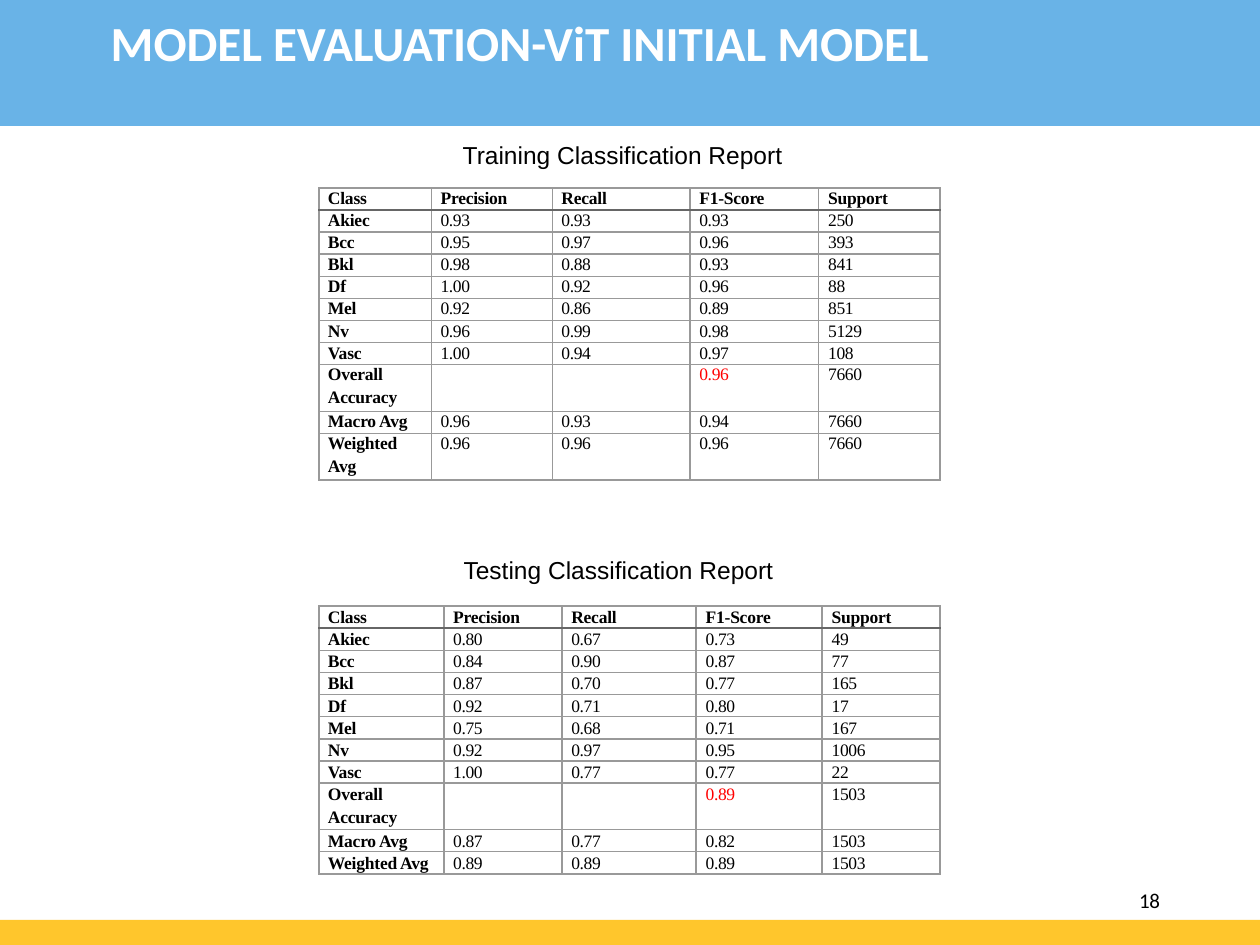
from dataclasses import dataclass

from lxml.etree import SubElement
from pptx import Presentation
from pptx.dml.color import RGBColor as Color
from pptx.enum.shapes import MSO_SHAPE as Shape
from pptx.oxml.ns import qn
from pptx.util import Pt


@dataclass(frozen=True)
class Theme:
    sky: str = "69B3E7"
    gold: str = "FFC62C"
    white: str = "FFFFFF"
    black: str = "000000"
    accent: str = "FF0000"
    grid: str = "999999"
    header_rule: str = "666666"
    title_font: str = "Calibri"
    caption_font: str = "Arial"
    table_font: str = "Times New Roman"
    title_size: float = 28
    caption_size: float = 14
    number_size: float = 12
    table_size: float = 10


class ReportSlide:
    """Draws styled elements on one slide, with all lengths in points."""

    def __init__(self, slide, theme):
        self.slide = slide
        self.theme = theme

    def format_runs(self, paragraph, font, size, color, bold=False, spacing=0):
        for run in paragraph.runs:
            run.font.name = font
            run.font.size = Pt(size)
            run.font.bold = bold
            run.font.color.rgb = Color.from_string(color)
            run.font._element.set("spc", str(round(spacing * 100)))

    def band(self, top, height, color):
        shape = self.slide.shapes.add_shape(Shape.RECTANGLE, 0, Pt(top), Pt(720), Pt(height))
        shape.shadow.inherit = False
        shape.fill.solid()
        shape.fill.fore_color.rgb = Color.from_string(color)
        shape.line.fill.background()

    def text(self, text, box, inset, font, size, color, bold=False, spacing=0, leading=None):
        shape = self.slide.shapes.add_textbox(*map(Pt, box))
        frame = shape.text_frame
        frame.word_wrap = True
        frame.margin_left, frame.margin_top = map(Pt, inset)
        frame.margin_right = frame.margin_bottom = 0
        frame.text = text
        paragraph = frame.paragraphs[0]
        if leading:
            paragraph.line_spacing = Pt(leading)
        self.format_runs(paragraph, font, size, color, bold, spacing)

    def caption(self, text, left, top, width):
        theme = self.theme
        self.text(text, (left, top, width, 18.7), (0.9, 2), theme.caption_font,
                  theme.caption_size, theme.black)

    def borders(self, cell, row):
        theme = self.theme
        rules = {"lnL": False, "lnR": False, "lnT": row == 1, "lnB": row == 0}
        properties = cell._tc.get_or_add_tcPr()
        for tag, heavy in rules.items():
            line = SubElement(properties, qn(f"a:{tag}"), w=str(Pt(1.5 if heavy else 1)))
            fill = SubElement(line, qn("a:solidFill"))
            SubElement(fill, qn("a:srgbClr"), val=theme.header_rule if heavy else theme.grid)

    def cell(self, cell, text, row, column, top_inset, tall):
        theme = self.theme
        cell.margin_left = Pt(5.2 if column < 3 else 5.5)
        cell.margin_top = Pt(top_inset)
        cell.margin_right = cell.margin_bottom = 0
        self.borders(cell, row)
        cell.fill.background()
        cell.text_frame.text = text
        bold = row == 0 or column == 0
        highlighted = row == 8 and column == 3
        for index, paragraph in enumerate(cell.text_frame.paragraphs):
            if index:
                paragraph.space_before = Pt(1.8)
            if index or not tall:
                paragraph.line_spacing = Pt(11.3)
            self.format_runs(paragraph, theme.table_font, theme.table_size,
                             theme.accent if highlighted else theme.black,
                             bold, -0.1 if bold else -0.2)

    def table(self, rows, top, widths, top_inset):
        tall_rows = [any("\n" in text for text in values) for values in rows]
        heights = [26.6 if tall else 12.65 for tall in tall_rows]
        table = self.slide.shapes.add_table(len(rows), len(widths), Pt(182.2), Pt(top),
                                            Pt(sum(widths)), Pt(sum(heights))).table
        table.first_row = table.horz_banding = False
        for column, width in zip(table.columns, widths):
            column.width = Pt(width)
        for row, values in enumerate(rows):
            table.rows[row].height = Pt(heights[row])
            for column, text in enumerate(values):
                self.cell(table.cell(row, column), text, row, column, top_inset, tall_rows[row])


HEADER = ("Class", "Precision", "Recall", "F1-Score", "Support")
TRAINING = [
    HEADER,
    ("Akiec", "0.93", "0.93", "0.93", "250"),
    ("Bcc", "0.95", "0.97", "0.96", "393"),
    ("Bkl", "0.98", "0.88", "0.93", "841"),
    ("Df", "1.00", "0.92", "0.96", "88"),
    ("Mel", "0.92", "0.86", "0.89", "851"),
    ("Nv", "0.96", "0.99", "0.98", "5129"),
    ("Vasc", "1.00", "0.94", "0.97", "108"),
    ("Overall\nAccuracy", "", "", "0.96", "7660"),
    ("Macro Avg", "0.96", "0.93", "0.94", "7660"),
    ("Weighted\nAvg", "0.96", "0.96", "0.96", "7660"),
]
TESTING = [
    HEADER,
    ("Akiec", "0.80", "0.67", "0.73", "49"),
    ("Bcc", "0.84", "0.90", "0.87", "77"),
    ("Bkl", "0.87", "0.70", "0.77", "165"),
    ("Df", "0.92", "0.71", "0.80", "17"),
    ("Mel", "0.75", "0.68", "0.71", "167"),
    ("Nv", "0.92", "0.97", "0.95", "1006"),
    ("Vasc", "1.00", "0.77", "0.77", "22"),
    ("Overall\nAccuracy", "", "", "0.89", "1503"),
    ("Macro Avg", "0.87", "0.77", "0.82", "1503"),
    ("Weighted Avg", "0.89", "0.89", "0.89", "1503"),
]


def main():
    presentation = Presentation()
    presentation.slide_width, presentation.slide_height = Pt(720), Pt(540)
    theme = Theme()
    report = ReportSlide(presentation.slides.add_slide(presentation.slide_layouts[6]), theme)
    report.band(0, 72, theme.sky)
    report.band(525.6, 14.4, theme.gold)
    report.text("MODEL EVALUATION-ViT INITIAL MODEL", (48.2, -5, 597.6, 45.4), (15.1, 12.4),
                theme.title_font, theme.title_size, theme.white, bold=True)
    report.text("18", (648, 509, 19.4, 14.4), (3, 0), theme.title_font,
                theme.number_size, theme.black, spacing=-0.2, leading=12.4)
    report.table(TRAINING, 107.3, (64.4, 69.1, 78.5, 73.6, 69.3), 0.3)
    report.table(TESTING, 346.3, (71.6, 67.5, 76.5, 72, 67.4), 0.9)
    report.caption("Training Classification Report", 263.5, 77.8, 185)
    report.caption("Testing Classification Report", 264, 315.4, 180)
    presentation.save("out.pptx")


if __name__ == "__main__":
    main()
